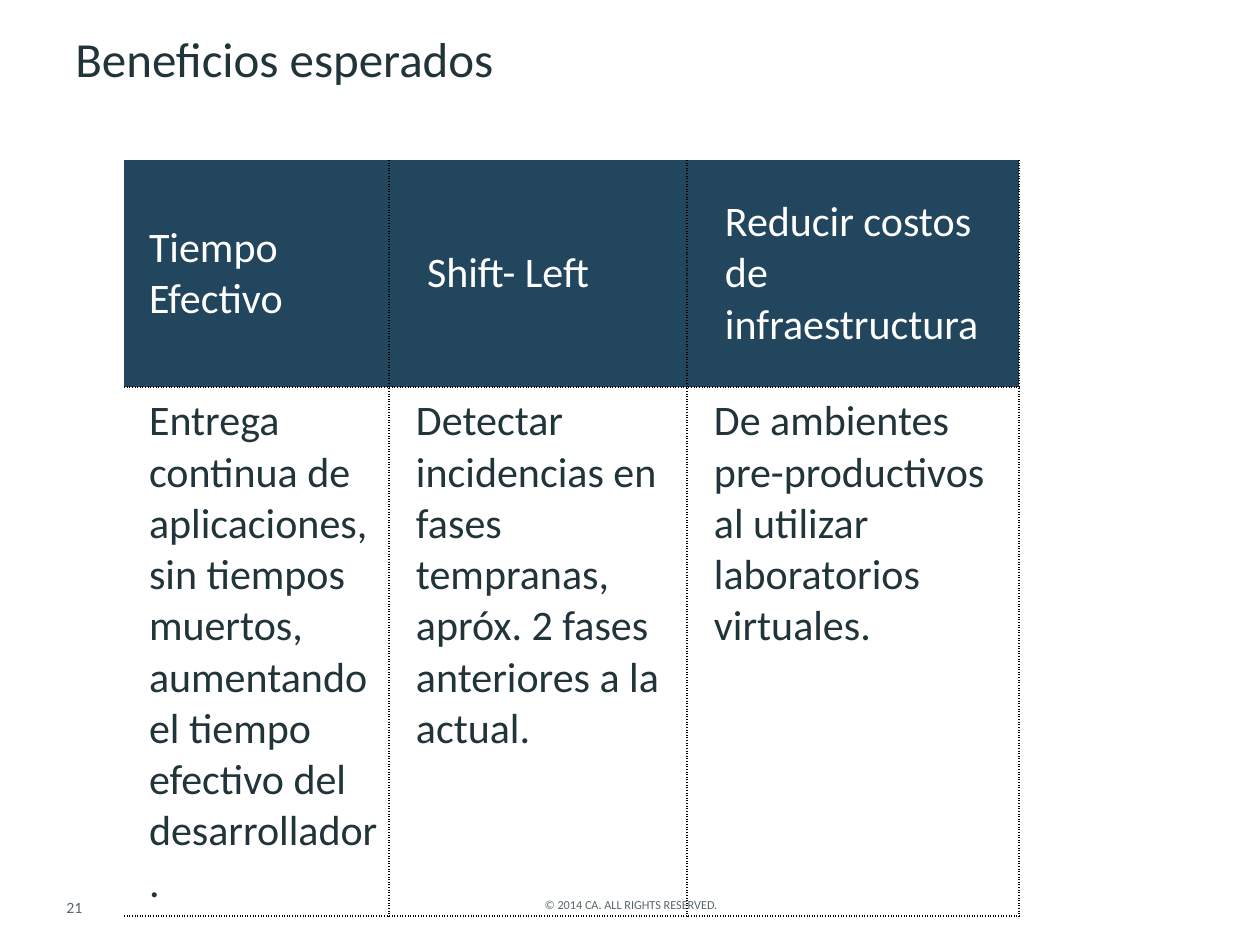
from lxml.etree import SubElement
from pptx import Presentation
from pptx.dml.color import RGBColor
from pptx.enum.text import MSO_ANCHOR, PP_ALIGN
from pptx.oxml.ns import qn
from pptx.util import Emu, Pt

COLORS = {"ink": "20343A", "muted": "58676D", "header": "22465E", "white": "FFFFFF", "border": "000000"}
FONT = "Calibri"

TEXTS = [
    ("21", (54, 892, 73, 47), 9, "muted", PP_ALIGN.LEFT, 1.0),
    ("© 2014 CA. ALL RIGHTS RESERVED.", (173, 891, 916, 47), 7, "muted", PP_ALIGN.CENTER, 1.0),
    ("Beneficios esperados", (63, 29, 1134, 150), 28, "ink", PP_ALIGN.LEFT, 0.9),
]

BENEFITS = [
    ("Tiempo Efectivo",
     "Entrega continua de aplicaciones, sin tiempos muertos, aumentando el tiempo efectivo del desarrollador."),
    ("Shift- Left",
     "Detectar incidencias en fases tempranas, apróx. 2 fases anteriores a la actual."),
    ("Reducir costos de infraestructura",
     "De ambientes pre-productivos al utilizar laboratorios virtuales."),
]
TABLE_LEFT, TABLE_TOP = 124, 160
COLUMN_WIDTHS = [265, 298, 332]
ROW_HEIGHTS = [227, 529]
INDENTS = [(12, 12), (25, 14), (25, 14)]


def px(n):
    return Emu(round(n * 914400 / 126))


def rgb(name):
    return RGBColor.from_string(COLORS[name])


def set_font(p, size, color):
    p.font.name = FONT
    p.font.size = Pt(size)
    p.font.color.rgb = rgb(color)


def add_text(s, text, box, size, color, align, spacing):
    tf = s.shapes.add_textbox(*map(px, box)).text_frame
    tf.word_wrap = True
    p = tf.paragraphs[0]
    p.text = text
    p.alignment = align
    p.line_spacing = spacing
    set_font(p, size, color)


def set_borders(cell, shown):
    tc_pr = cell._tc.get_or_add_tcPr()
    for side in "LRTB":
        ln = SubElement(tc_pr, qn(f"a:ln{side}"), w=str(Pt(1)))
        if side in shown:
            fill = SubElement(ln, qn("a:solidFill"))
            SubElement(fill, qn("a:srgbClr"), val=COLORS["border"])
            SubElement(ln, qn("a:prstDash"), val="sysDot")
        else:
            SubElement(ln, qn("a:noFill"))


def fill_cell(cell, text, indent, is_header, shown):
    set_borders(cell, shown)
    if is_header:
        cell.fill.solid()
        cell.fill.fore_color.rgb = rgb("header")
    else:
        cell.fill.background()
    cell.vertical_anchor = MSO_ANCHOR.MIDDLE if is_header else MSO_ANCHOR.TOP
    cell.margin_left = cell.margin_right = px(13)
    cell.margin_top = cell.margin_bottom = px(9)
    p = cell.text_frame.paragraphs[0]
    p.text = text
    p._p.get_or_add_pPr().set("marL", str(px(indent)))
    set_font(p, 24, "white" if is_header else "ink")


def add_benefits_table(s):
    frame = s.shapes.add_table(
        len(ROW_HEIGHTS), len(BENEFITS), px(TABLE_LEFT), px(TABLE_TOP),
        px(sum(COLUMN_WIDTHS)), px(sum(ROW_HEIGHTS)))
    table = frame.table
    table.first_row = False
    table.horz_banding = False
    for row, height in zip(table.rows, ROW_HEIGHTS):
        row.height = px(height)
    for c, (texts, indents) in enumerate(zip(BENEFITS, INDENTS)):
        table.columns[c].width = px(COLUMN_WIDTHS[c])
        for r, (text, indent) in enumerate(zip(texts, indents)):
            shown = "RB" + ("L" if c else "") + ("T" if r else "")
            fill_cell(table.cell(r, c), text, indent, r == 0, shown)


def main():
    prs = Presentation()
    prs.slide_width, prs.slide_height = px(1260), px(945)
    s = prs.slides.add_slide(prs.slide_layouts[6])
    for item in TEXTS:
        add_text(s, *item)
    add_benefits_table(s)
    prs.save("out.pptx")


if __name__ == "__main__":
    main()
